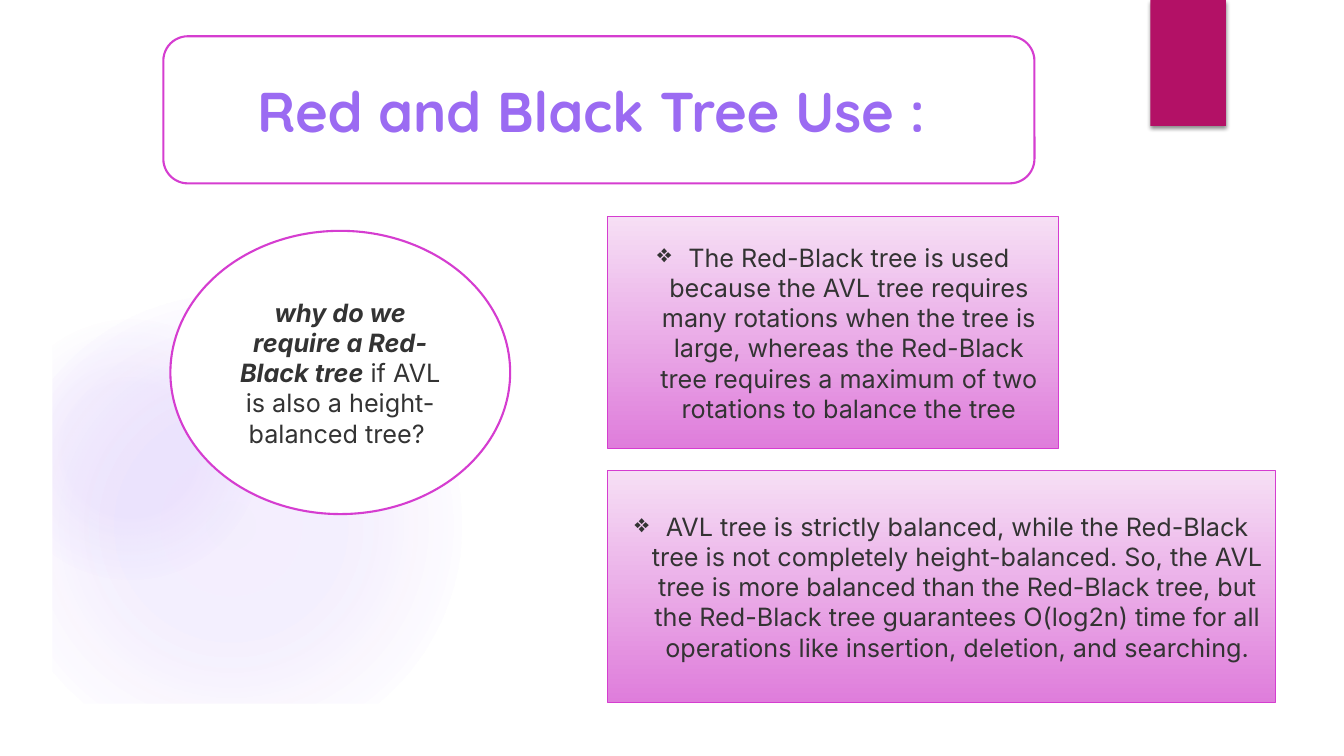
from lxml import etree
from pptx import Presentation
from pptx.dml.color import RGBColor
from pptx.enum.shapes import MSO_SHAPE
from pptx.enum.text import MSO_ANCHOR, MSO_AUTO_SIZE, PP_ALIGN
from pptx.oxml import parse_xml
from pptx.oxml.ns import qn
from pptx.util import Inches, Pt

WIDTH, HEIGHT, MARGIN = 13.33, 7.5, 0.52
WHITE, TEXT, PURPLE, PINK, CRIMSON = "FFFFFF", "333333", "9B6BF2", "D53DD0", "B31166"
NS = 'xmlns:a="http://schemas.openxmlformats.org/drawingml/2006/main"'

TITLE = "Red and Black Tree Use : "
TITLE_BOX = (1.62, 0.36, 8.64, 1.46)
QUESTION = [("why do we require a Red-Black tree", True),
            (" if AVL is also a height-balanced tree? ", False)]
QUESTION_BOX = (1.69, 2.29, 3.37, 2.81)
ANSWERS = [
    ((6.03, 2.15, 4.47, 2.3),
     "The Red-Black tree is used because the AVL tree requires many rotations when "
     "the tree is large, whereas the Red-Black tree requires a maximum of two "
     "rotations to balance the tree"),
    ((6.03, 4.67, 6.62, 2.3),
     "AVL tree is strictly balanced, while the Red-Black tree is not completely "
     "height-balanced. So, the AVL tree is more balanced than the Red-Black tree, but "
     "the Red-Black tree guarantees O(log2n) time for all operations like insertion, "
     "deletion, and searching."),
]
ANSWER_STOPS = [(0, "F6DFF5", 100), (100, "DF7DDB", 100)]
# box, stops of (position, colour, opacity) in percent
GLOWS = [
    ((0, 2.92, 4.58, 4.58), [(0, PURPLE, 11), (36, PURPLE, 10), (75, PURPLE, 0)]),
    ((0, 3.17, 2.58, 2.58), [(0, PURPLE, 8), (36, PURPLE, 8), (72, PURPLE, 0)]),
]
TAB_BOX = (11.41, 0, 0.75, 1.25)


def rgb(value):
    return RGBColor.from_string(value)


def add_box(s, kind, box, fill=None, line=None, weight=1.5):
    sp = s.shapes.add_shape(kind, *map(Inches, box))
    sp.shadow.inherit = False
    if fill:
        sp.fill.solid()
        sp.fill.fore_color.rgb = rgb(fill)
    if line:
        sp.line.color.rgb = rgb(line)
        sp.line.width = Pt(weight)
    else:
        sp.line.fill.background()
    return sp


def set_gradient(sp, stops, radial=False):
    marks = "".join(
        f'<a:gs pos="{pos * 1000}"><a:srgbClr val="{color}">'
        f'<a:alpha val="{opacity * 1000}"/></a:srgbClr></a:gs>'
        for pos, color, opacity in stops)
    way = ('<a:path path="circle"><a:fillToRect l="50000" t="50000" r="50000" b="50000"/>'
           '</a:path>' if radial else '<a:lin ang="5400000" scaled="0"/>')
    fill = parse_xml(f'<a:gradFill {NS} rotWithShape="1"><a:gsLst>{marks}</a:gsLst>{way}</a:gradFill>')
    sp._element.spPr.find(qn("a:prstGeom")).addnext(fill)


def add_shadow(sp):
    effects = sp._element.spPr.find(qn("a:effectLst"))
    effects.append(parse_xml(
        f'<a:outerShdw {NS} blurRad="{Pt(3)}" dist="{Pt(2)}" dir="5400000" rotWithShape="0">'
        '<a:srgbClr val="000000"><a:alpha val="45000"/></a:srgbClr></a:outerShdw>'))


def start_text(sp):
    """Centre the text frame and return its first paragraph."""
    tf = sp.text_frame
    tf.word_wrap = True
    tf.auto_size = MSO_AUTO_SIZE.NONE
    tf.vertical_anchor = MSO_ANCHOR.MIDDLE
    p = tf.paragraphs[0]
    p.alignment = PP_ALIGN.CENTER
    return p


def add_run(p, text, size=18, font="Inter", color=TEXT, bold=False, italic=False):
    r = p.add_run()
    r.text = text
    r.font.size, r.font.name = Pt(size), font
    r.font.bold, r.font.italic = bold, italic
    r.font.color.rgb = rgb(color)


def add_bullet(p, char="❖", indent=0.31):
    pPr = p._p.get_or_add_pPr()
    pPr.set("marL", str(Inches(indent)))
    pPr.set("indent", str(-Inches(indent)))
    etree.SubElement(pPr, qn("a:buChar")).set("char", char)


def main():
    prs = Presentation()
    prs.slide_width, prs.slide_height = Inches(WIDTH), Inches(HEIGHT)
    s = prs.slides.add_slide(prs.slide_layouts[5])

    for box, stops in GLOWS:
        set_gradient(add_box(s, MSO_SHAPE.OVAL, box), stops, radial=True)
    border = add_box(s, MSO_SHAPE.FRAME, (0, 0, WIDTH, HEIGHT), WHITE)
    border.adjustments[0] = MARGIN / HEIGHT
    add_shadow(add_box(s, MSO_SHAPE.RECTANGLE, TAB_BOX, CRIMSON))

    add_box(s, MSO_SHAPE.ROUNDED_RECTANGLE, TITLE_BOX, WHITE, PINK)
    title = s.shapes.title
    title.left, title.top, title.width, title.height = map(Inches, TITLE_BOX)
    add_run(start_text(title), TITLE, 40, "Quicksand", PURPLE, bold=True)
    s.shapes._spTree.append(title._element)  # in front of the border

    p = start_text(add_box(s, MSO_SHAPE.OVAL, QUESTION_BOX, WHITE, PINK))
    for text, strong in QUESTION:
        add_run(p, text, bold=strong, italic=strong)

    for box, text in ANSWERS:
        sp = add_box(s, MSO_SHAPE.RECTANGLE, box, line=PINK, weight=0.75)
        set_gradient(sp, ANSWER_STOPS)
        p = start_text(sp)
        add_bullet(p)
        add_run(p, text)

    prs.save("out.pptx")


if __name__ == "__main__":
    main()
